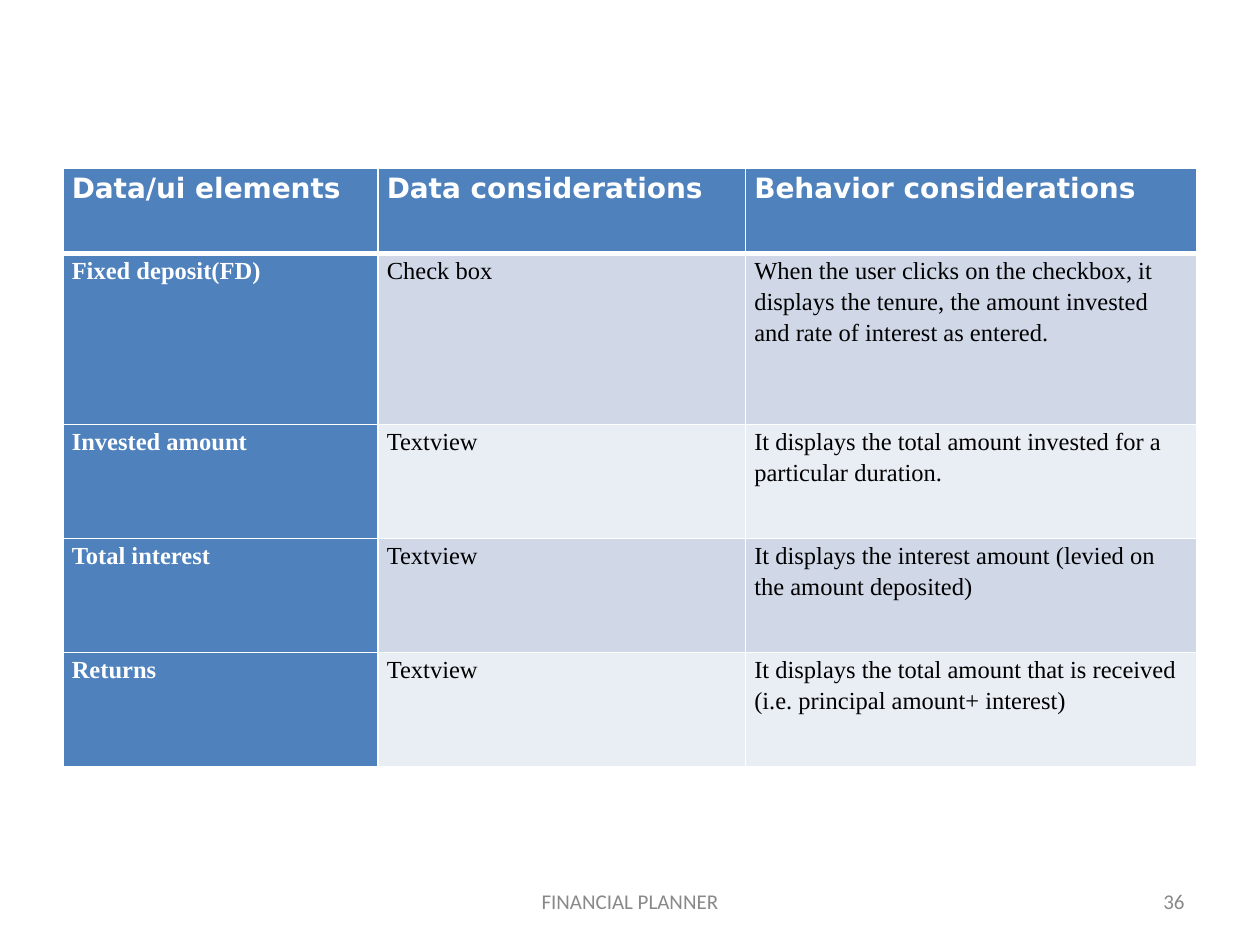
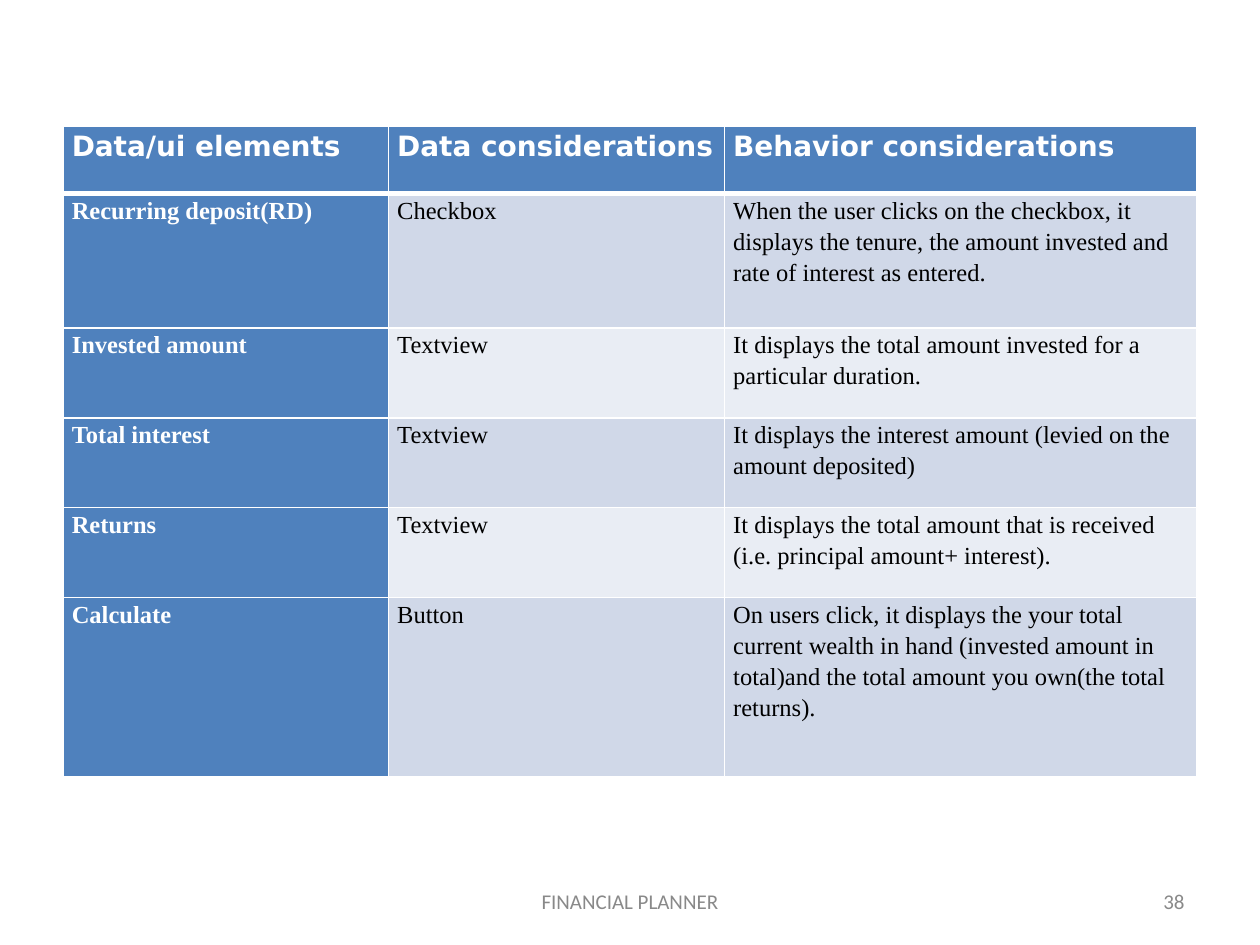
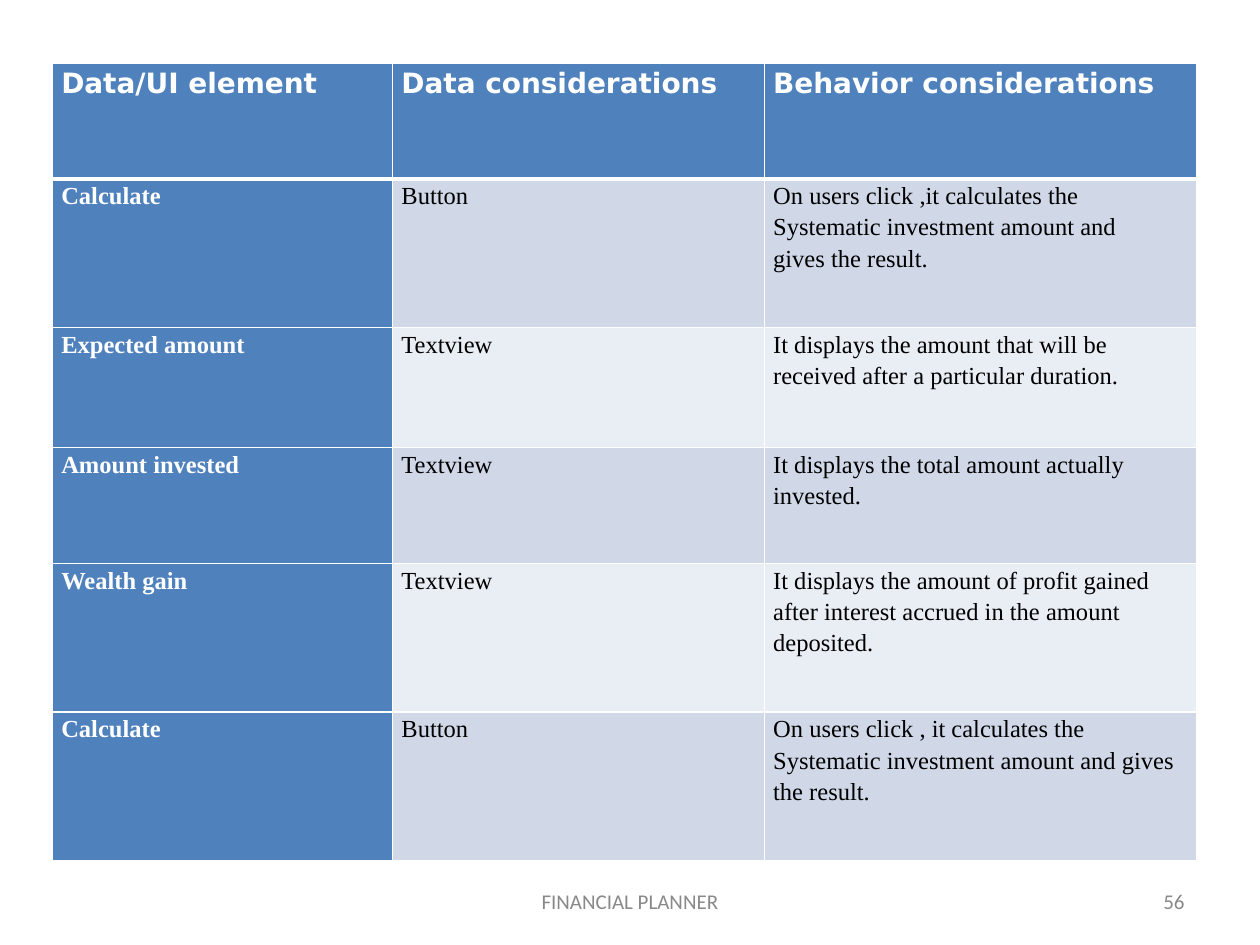
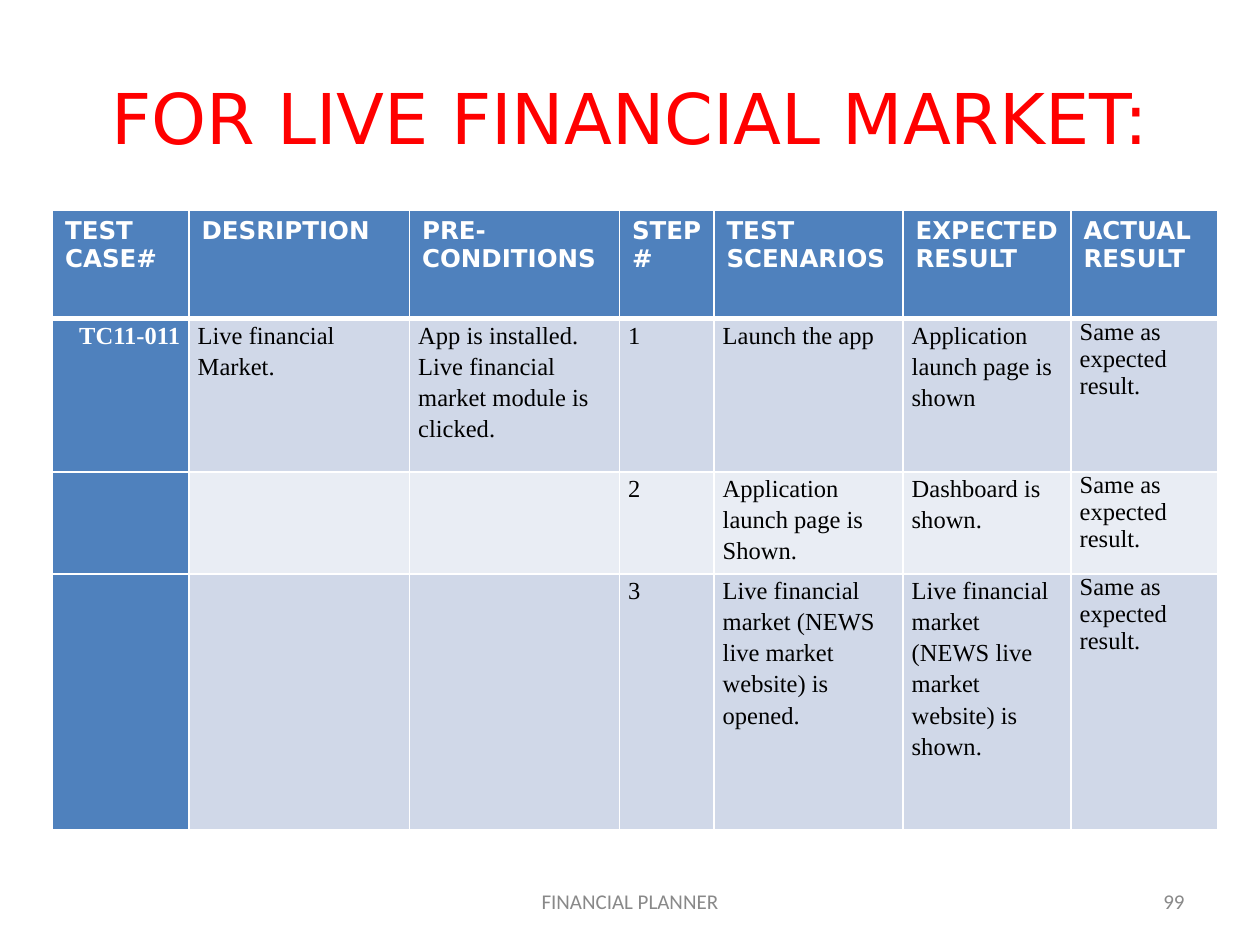
from pptx import Presentation
from pptx import util as u
from pptx.dml.color import RGBColor
from pptx.enum import text
from pptx.oxml import parse_xml
from pptx.oxml.ns import nsdecls

# Shared look
WHITE = RGBColor(0xFF, 0xFF, 0xFF)
BLACK = RGBColor(0x00, 0x00, 0x00)
RED = RGBColor(0xFF, 0x00, 0x00)
GREY = RGBColor(0x89, 0x89, 0x89)
BLUE = RGBColor(0x4F, 0x81, 0xBD)
BANDS = (RGBColor(0xD0, 0xD8, 0xE8), RGBColor(0xE9, 0xED, 0xF4))
HEAD_FONT, BODY_FONT, FOOTER_FONT = "DejaVu Sans", "Times New Roman", "Calibri"
BODY_SIZE, FOOTER_SIZE, TITLE_SIZE = 14, 12, 40
LINE_SPACING = 1.15
THIN, THICK = 1, 3
SIDE_MARGIN = u.Inches(0.07)

# Slide grid: 120 columns by 90 rows of square units
SLIDE_WIDTH, SLIDE_HEIGHT = u.Inches(10), u.Inches(7.5)
UNIT = SLIDE_WIDTH // 120
TITLE_LAYOUT, BLANK_LAYOUT = 5, 6

# Table contents
CONSIDERATIONS = ["Data considerations", "Behavior considerations"]
CHECKBOX_CLICK = ("When the user clicks on the checkbox, it displays the tenure, "
                  "the amount invested and rate of interest as entered.")
INVESTED = ["Invested amount", "Textview",
            "It displays the total amount invested for a particular duration."]
INTEREST = ["Total interest", "Textview",
            "It displays the interest amount (levied on the amount deposited)"]
RETURNS = "It displays the total amount that is received (i.e. principal amount+ interest)"
SAME_RESULT = "Same as expected result."

FIXED_DEPOSIT = [
    ["Data/ui elements", *CONSIDERATIONS],
    ["Fixed deposit(FD)", "Check box", CHECKBOX_CLICK],
    INVESTED,
    INTEREST,
    ["Returns", "Textview", RETURNS],
]
RECURRING_DEPOSIT = [
    ["Data/ui elements", *CONSIDERATIONS],
    ["Recurring deposit(RD)", "Checkbox", CHECKBOX_CLICK],
    INVESTED,
    INTEREST,
    ["Returns", "Textview", RETURNS + "."],
    ["Calculate", "Button",
     "On users click, it displays the your total current wealth in hand (invested "
     "amount in total)and the total amount you own(the total returns)."],
]
SYSTEMATIC_INVESTMENT = [
    ["Data/UI element", *CONSIDERATIONS],
    ["Calculate", "Button",
     "On users click ,it calculates the\nSystematic investment amount and\ngives the result."],
    ["Expected amount", "Textview",
     "It displays the amount that will be\nreceived after a particular duration."],
    ["Amount invested", "Textview", "It displays the total amount actually\ninvested."],
    ["Wealth gain", "Textview",
     "It displays the amount of profit gained\nafter interest accrued in the amount\ndeposited."],
    ["Calculate", "Button",
     "On users click , it calculates the\nSystematic investment amount and gives\nthe result."],
]
MARKET_TESTS = [
    ["TEST CASE#", "DESRIPTION", "PRE-\nCONDITIONS", "STEP#", "TEST SCENARIOS",
     "EXPECTED RESULT", "ACTUAL RESULT"],
    ["TC11-011", "Live financial\nMarket.",
     "App is installed.\nLive financial\nmarket module is\nclicked.", "1",
     "Launch the app", "Application\nlaunch page is shown", SAME_RESULT],
    ["", "", "", "2", "Application\nlaunch page is\nShown.", "Dashboard is shown.",
     SAME_RESULT],
    ["", "", "", "3", "Live financial\nmarket (NEWS\nlive market\nwebsite) is\nopened.",
     "Live financial market\n(NEWS live\nmarket\nwebsite) is\nshown.", SAME_RESULT],
]


def grid(units):
    return u.Emu(round(units * UNIT))


def style_paragraphs(frame, font_name, size, color, bold=False, align=None, spacing=None):
    for paragraph in frame.paragraphs:
        paragraph.alignment = align
        paragraph.line_spacing = spacing
        font = paragraph.font
        font.name, font.size, font.bold = font_name, u.Pt(size), bold
        font.color.rgb = color


def add_borders(cell, top, bottom):
    """Draw white lines on all four sides; widths are in points."""
    properties = cell._tc.get_or_add_tcPr()
    for side, width in zip("LRTB", (THIN, THIN, top, bottom)):
        properties.append(parse_xml(
            f'<a:ln{side} {nsdecls("a")} w="{u.Pt(width)}"><a:solidFill>'
            f'<a:srgbClr val="{WHITE}"/></a:solidFill></a:ln{side}>'))


def fill_cell(cell, color):
    cell.fill.solid()
    cell.fill.fore_color.rgb = color


def set_narrow_margins(cell):
    cell.margin_left = cell.margin_right = SIDE_MARGIN
    cell.margin_top = cell.margin_bottom = 0


def add_header_cell(cell, words, size, roomy):
    cell.text = words
    add_borders(cell, THIN, THICK)
    fill_cell(cell, BLUE)
    if not roomy:
        set_narrow_margins(cell)
    style_paragraphs(cell.text_frame, HEAD_FONT, size, WHITE, bold=True,
                     spacing=None if roomy else LINE_SPACING)


def add_body_cell(cell, words, row, is_label, align=None, spacing=LINE_SPACING):
    cell.text = words
    add_borders(cell, THICK if row == 1 else THIN, THIN)
    fill_cell(cell, BLUE if is_label else BANDS[(row - 1) % 2])
    set_narrow_margins(cell)
    style_paragraphs(cell.text_frame, BODY_FONT, BODY_SIZE, WHITE if is_label else BLACK,
                     bold=is_label, align=align, spacing=spacing)


def add_grid_table(slide, contents, left, top, height, columns, row_shares,
                   header_size=16, roomy_header=False, label_align=None, tight_column=None):
    """Columns are in grid units; row shares divide the height."""
    frame = slide.shapes.add_table(len(contents), len(columns), grid(left), grid(top),
                                   grid(sum(columns)), grid(height))
    table = frame.table
    table.horz_banding = False
    for column, width in zip(table.columns, columns):
        column.width = grid(width)
    for row, share in zip(table.rows, row_shares):
        row.height = grid(height * share / sum(row_shares))

    for row, line in enumerate(contents):
        for column, words in enumerate(line):
            cell = table.cell(row, column)
            if row == 0:
                add_header_cell(cell, words, header_size, roomy_header)
            else:
                add_body_cell(cell, words, row, is_label=column == 0,
                              align=label_align if column == 0 else None,
                              spacing=None if column == tight_column else LINE_SPACING)


def add_footer_text(slide, words, left, width, align):
    box = slide.shapes.add_textbox(grid(left), grid(83.4), grid(width), grid(4.8))
    frame = box.text_frame
    frame.word_wrap = True
    frame.vertical_anchor = text.MSO_ANCHOR.MIDDLE
    frame.text = words
    style_paragraphs(frame, FOOTER_FONT, FOOTER_SIZE, GREY, align=align)


def add_title(slide, words):
    title = slide.shapes.title
    title.left, title.top, title.width, title.height = map(grid, (6, 3.6, 108, 15))
    title.text_frame.text = words
    title.text_frame.vertical_anchor = text.MSO_ANCHOR.MIDDLE
    style_paragraphs(title.text_frame, HEAD_FONT, TITLE_SIZE, RED, align=text.PP_ALIGN.CENTER)


def add_page(presentation, number, title=None):
    layout = presentation.slide_layouts[TITLE_LAYOUT if title else BLANK_LAYOUT]
    slide = presentation.slides.add_slide(layout)
    if title:
        add_title(slide, title)
    add_footer_text(slide, str(number), 86, 28, text.PP_ALIGN.RIGHT)
    add_footer_text(slide, "FINANCIAL PLANNER", 41, 38, text.PP_ALIGN.CENTER)
    return slide


def main():
    presentation = Presentation()
    presentation.slide_width, presentation.slide_height = SLIDE_WIDTH, SLIDE_HEIGHT

    # Fixed deposit
    slide = add_page(presentation, 36)
    add_grid_table(slide, FIXED_DEPOSIT, left=6, top=16, height=57,
                   columns=(30, 35, 43), row_shares=(3, 6, 4, 4, 4))

    # Recurring deposit
    slide = add_page(presentation, 38)
    add_grid_table(slide, RECURRING_DEPOSIT, left=6, top=12, height=62,
                   columns=(31, 32, 45), row_shares=(3, 6, 4, 4, 4, 8))

    # Systematic investment
    slide = add_page(presentation, 56)
    add_grid_table(slide, SYSTEMATIC_INVESTMENT, left=5, top=6, height=76,
                   columns=(32.4, 35.4, 41.2), row_shares=(0.92, 1.18, 0.95, 0.92, 1.18, 1.18))

    # Live market test cases
    slide = add_page(presentation, 99, "FOR LIVE FINANCIAL MARKET:")
    add_grid_table(slide, MARKET_TESTS, left=5, top=20, height=59,
                   columns=(13, 21, 20, 9, 18, 16, 14), row_shares=(0.86, 1.22, 0.81, 2.03),
                   header_size=14, roomy_header=True,
                   label_align=text.PP_ALIGN.RIGHT, tight_column=6)

    presentation.save("out.pptx")


if __name__ == "__main__":
    main()
